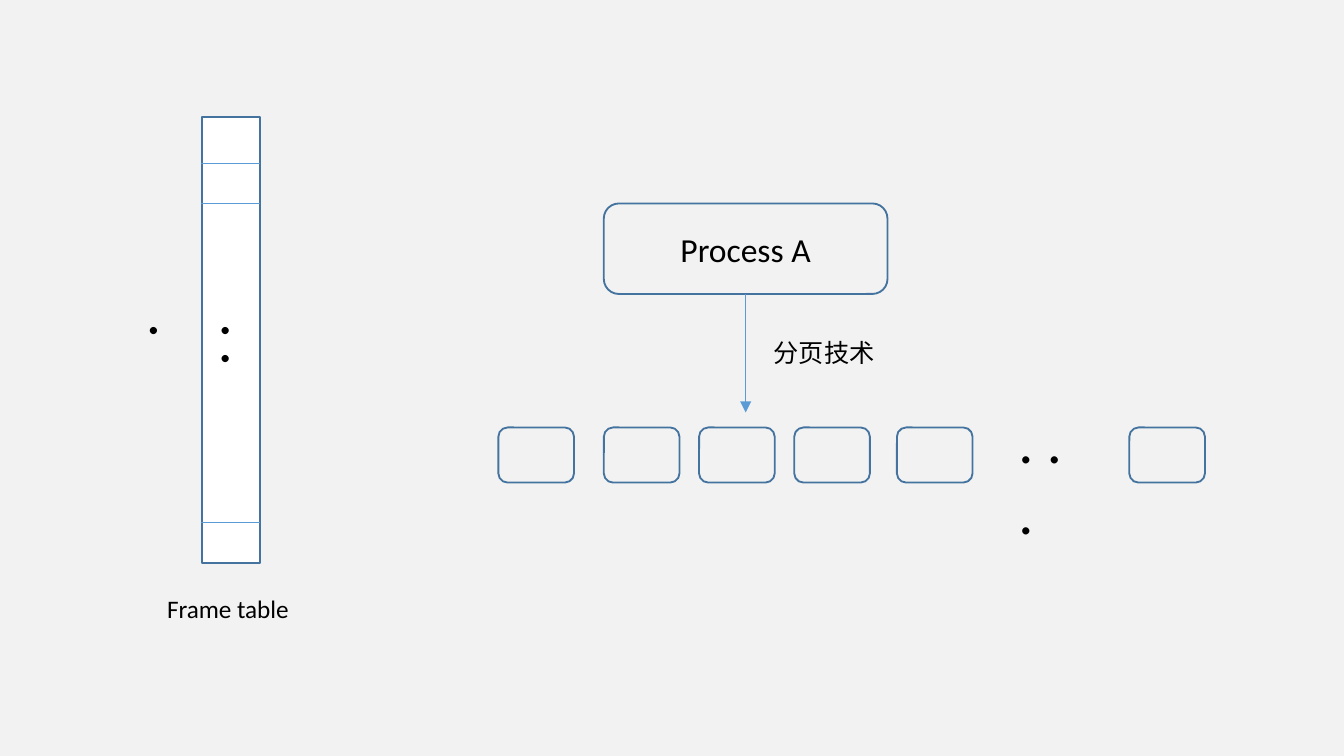
from pptx import Presentation
from pptx.dml.color import RGBColor
from pptx.enum.shapes import MSO_CONNECTOR, MSO_SHAPE
from pptx.enum.text import MSO_ANCHOR, MSO_AUTO_SIZE, PP_ALIGN
from pptx.oxml.ns import qn
from pptx.util import Pt
from lxml.etree import SubElement


def rgb(color):
    return RGBColor.from_string(color)


def style_line(shape, color, width):
    """Set a solid outline and switch the theme shadow off."""
    shape.line.color.rgb = rgb(color)
    shape.line.width = Pt(width)
    SubElement(shape._element.spPr, qn("a:effectLst"))


prs = Presentation()
prs.slide_width, prs.slide_height = Pt(720), Pt(405)
s = prs.slides.add_slide(prs.slide_layouts[6])
s.background.fill.solid()
s.background.fill.fore_color.rgb = rgb("F2F2F2")

# Frame table with its row lines
frame = s.shapes.add_shape(MSO_SHAPE.RECTANGLE, Pt(108), Pt(62.5), Pt(31.5), Pt(239))
frame.fill.solid()
frame.fill.fore_color.rgb = rgb("FFFFFF")
style_line(frame, "43739E", 1)
for y in (87.5, 109, 280):
    row = s.shapes.add_connector(MSO_CONNECTOR.STRAIGHT, Pt(107.5), Pt(y), Pt(139.5), Pt(y))
    style_line(row, "5B9BD5", 0.5)

# Process and the pages it is split into
boxes = [(323.5, 109, 152, 48.5)]
boxes += [(x, 229, 40.5, 29.5) for x in (267, 323.5, 374.5, 425.5, 480.5, 605)]
rounded = []
for box in boxes:
    sp = s.shapes.add_shape(MSO_SHAPE.ROUNDED_RECTANGLE, *map(Pt, box))
    sp.fill.background()
    style_line(sp, "43739E", 1)
    rounded.append(sp)

process = rounded[0]
tf = process.text_frame
tf.vertical_anchor = MSO_ANCHOR.MIDDLE
p = tf.paragraphs[0]
p.text = "Process A"
p.alignment = PP_ALIGN.CENTER
p.font.name, p.font.size = "Calibri", Pt(18)
p.font.color.rgb = rgb("000000")

arrow = s.shapes.add_connector(MSO_CONNECTOR.STRAIGHT, Pt(399.5), Pt(157.5), Pt(399.5), Pt(221))
arrow.begin_connect(process, 2)
style_line(arrow, "5B9BD5", 0.5)
SubElement(arrow.line._get_or_add_ln(), qn("a:tailEnd"), type="triangle")

# Labels and ellipses: text, left, top, width, height, size, rotation
for text, x, y, w, h, size, rotation in (
    ("Frame table", 82.5, 314.5, 83, 24, 13.5, 0),
    ("分页技术", 407.5, 177, 73, 24, 13.5, 0),
    (". . .", 538.5, 212.5, 48, 46, 32, 0),
    (". . .", 107.5, 167, 48, 46, 32, 90),
):
    tb = s.shapes.add_textbox(Pt(x), Pt(y), Pt(w), Pt(h))
    tb.rotation = rotation
    tf = tb.text_frame
    tf.word_wrap = True
    tf.auto_size = MSO_AUTO_SIZE.SHAPE_TO_FIT_TEXT
    p = tf.paragraphs[0]
    p.text = text
    p.font.name, p.font.size = "Calibri", Pt(size)
    p.font.color.rgb = rgb("000000")

prs.save("out.pptx")
